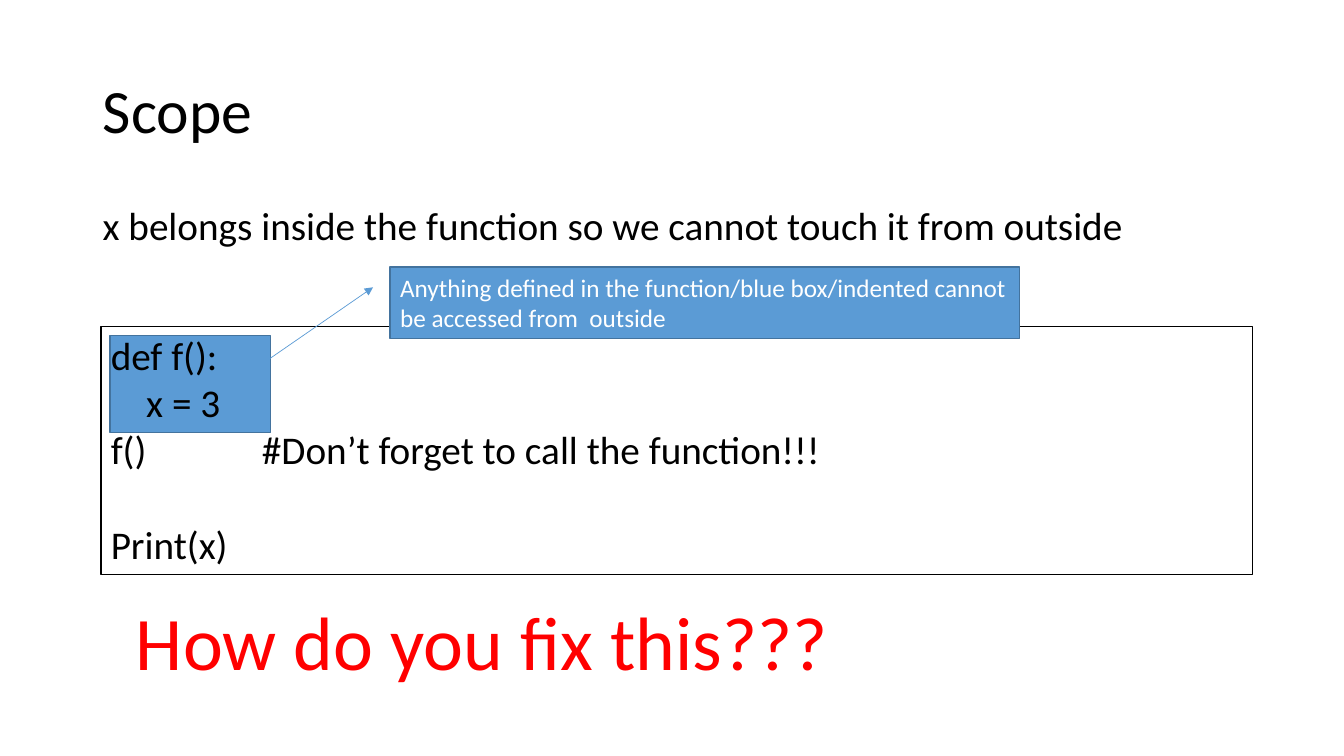
from dataclasses import dataclass

from lxml import etree
from pptx import Presentation
from pptx.dml.color import RGBColor
from pptx.enum.shapes import MSO_CONNECTOR, MSO_SHAPE
from pptx.enum.text import MSO_ANCHOR, MSO_AUTO_SIZE, PP_ALIGN
from pptx.oxml.ns import qn
from pptx.slide import Slide
from pptx.text.text import TextFrame
from pptx.util import Inches, Pt

RECTANGLE = MSO_SHAPE.RECTANGLE
STRAIGHT = MSO_CONNECTOR.STRAIGHT
TOP, MIDDLE = MSO_ANCHOR.TOP, MSO_ANCHOR.MIDDLE
LEFT = PP_ALIGN.LEFT
NO_AUTOFIT = MSO_AUTO_SIZE.NONE
FONT = "Calibri"
BLACK, WHITE, RED = "000000", "FFFFFF", "FF0000"
BLUE, DARK_BLUE = "5B9BD5", "43739E"


@dataclass(frozen=True)
class Line:
    """One paragraph and the space before it in points."""
    text: str
    space_before: float = 0


@dataclass(frozen=True)
class Panel:
    """A box with optional fill, outline and text; lengths in inches."""
    left: float
    top: float
    width: float
    height: float
    lines: tuple[Line, ...] = ()
    size: float = 28
    color: str = BLACK
    fill: str | None = None
    outline: str | None = None
    anchor: MSO_ANCHOR = TOP
    line_spacing: float = 1.0


TITLE = Panel(0.92, 0.4, 11.5, 1.45, (Line("Scope"),), size=44,
              anchor=MIDDLE, line_spacing=0.9)
PANELS = (
    Panel(1.09, 3.33, 1.59, 0.96, fill=BLUE, outline=DARK_BLUE),
    Panel(0.92, 2, 11.5, 0.6,
          (Line("x belongs inside the function so we cannot touch it from outside"),),
          line_spacing=0.9),
    Panel(1, 3.24, 11.42, 2.46, (
        Line("def f():"),
        Line("    x = 3"),
        Line("f()\t\t\t#Don’t forget to call the function!!!"),
        Line("Print(x)", space_before=34),
    ), outline=BLACK),
    Panel(1.25, 5.85, 10.11, 1.01, (Line("How do you fix this???"),),
          size=54, color=RED),
    Panel(3.87, 2.65, 6.24, 0.71,
          (Line("Anything defined in the function/blue box/indented cannot "
                "be accessed from  outside"),),
          size=18, color=WHITE, fill=BLUE, outline=DARK_BLUE),
)


def rgb(value: str) -> RGBColor:
    """Turn a hex string into a colour."""
    return RGBColor.from_string(value)


def write_lines(frame: TextFrame, panel: Panel) -> None:
    """Fill a text frame with the lines of a panel."""
    frame.word_wrap = True
    frame.auto_size = NO_AUTOFIT
    frame.vertical_anchor = panel.anchor
    for index, line in enumerate(panel.lines):
        para = frame.add_paragraph() if index else frame.paragraphs[0]
        para.alignment = LEFT
        para.line_spacing = panel.line_spacing
        para.space_before = Pt(line.space_before)
        span = para.add_run()
        span.text = line.text
        span.font.name = FONT
        span.font.size = Pt(panel.size)
        span.font.color.rgb = rgb(panel.color)


def add_panel(page: Slide, panel: Panel) -> None:
    """Draw a panel as a rectangle, or as a text box when it has no outline."""
    place = [Inches(value) for value in
             (panel.left, panel.top, panel.width, panel.height)]
    if panel.outline:
        box = page.shapes.add_shape(RECTANGLE, *place)
        box.shadow.inherit = False
        box.line.color.rgb = rgb(panel.outline)
        box.line.width = Pt(1)
        if panel.fill:
            box.fill.solid()
            box.fill.fore_color.rgb = rgb(panel.fill)
        else:
            box.fill.background()
    else:
        box = page.shapes.add_textbox(*place)
    write_lines(box.text_frame, panel)


def add_title(page: Slide, panel: Panel) -> None:
    """Place and write the title placeholder."""
    title = page.shapes.title
    title.left, title.top = Inches(panel.left), Inches(panel.top)
    title.width, title.height = Inches(panel.width), Inches(panel.height)
    write_lines(title.text_frame, panel)


def add_arrow(page: Slide, start: tuple[float, float],
              end: tuple[float, float]) -> None:
    """Draw a thin blue arrow between two points in inches."""
    arrow = page.shapes.add_connector(
        STRAIGHT, *(Inches(value) for value in start + end))
    arrow.line.color.rgb = rgb(BLUE)
    arrow.line.width = Pt(0.5)
    etree.SubElement(arrow.line._get_or_add_ln(), qn("a:tailEnd"), type="triangle")
    etree.SubElement(arrow._element.spPr, qn("a:effectLst"))


def main() -> None:
    """Build the slide and save it."""
    deck = Presentation()
    deck.slide_width, deck.slide_height = Inches(13.33), Inches(7.5)
    page = deck.slides.add_slide(deck.slide_layouts.get_by_name("Title Only"))
    add_title(page, TITLE)
    for panel in PANELS:
        add_panel(page, panel)
    add_arrow(page, (2.47, 3.7), (3.7, 2.85))
    deck.save("out.pptx")


if __name__ == "__main__":
    main()
